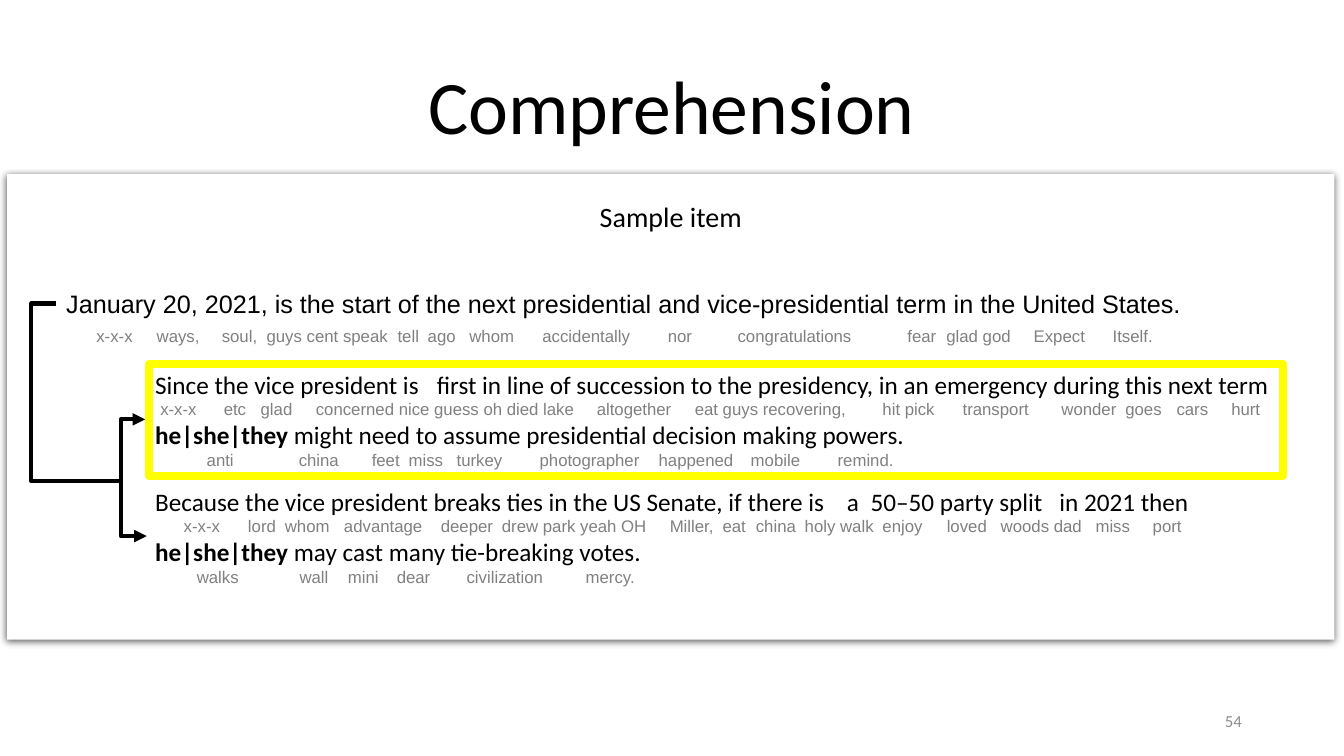
from dataclasses import dataclass

from lxml import etree
from pptx import Presentation
from pptx.dml.color import RGBColor
from pptx.enum.shapes import MSO_CONNECTOR, MSO_SHAPE
from pptx.enum.text import MSO_ANCHOR, MSO_AUTO_SIZE, PP_ALIGN
from pptx.oxml.ns import qn
from pptx.util import Cm, Pt

ELBOW, RECT = MSO_CONNECTOR.ELBOW, MSO_SHAPE.RECTANGLE
TOP, MIDDLE, BOTTOM = MSO_ANCHOR.TOP, MSO_ANCHOR.MIDDLE, MSO_ANCHOR.BOTTOM
LEFT, CENTER, RIGHT = PP_ALIGN.LEFT, PP_ALIGN.CENTER, PP_ALIGN.RIGHT
NO_FIT = MSO_AUTO_SIZE.NONE


@dataclass(frozen=True)
class Theme:
    black: str = "000000"
    white: str = "FFFFFF"
    grey: str = "808080"
    number_grey: str = "8C8C8C"
    yellow: str = "FFFF00"
    head_font: str = "Calibri"
    word_font: str = "Arial"
    title: int = 54
    subtitle: int = 20
    sentence: int = 18
    small: int = 12


T = Theme()

# Each word group stands at its own tab stop, in cm from the left text edge;
# 0 means the group starts at that edge.
LEAD = ("January 20, 2021, is the start of the next presidential and "
        "vice-presidential term in the United States.")
LEAD_WORDS = [
    (0, "x-x-x"), (1.52, "ways,"), (3.16, "soul,"), (4.29, "guys cent speak"),
    (7.59, "tell"), (8.35, "ago"), (9.4, "whom"), (11.24, "accidentally"),
    (14.4, "nor"), (16.16, "congratulations"), (20.44, "fear"),
    (21.42, "glad god"), (23.62, "Expect"), (25.61, "Itself.")]

SINCE = dict(
    opening=[(0, "Since the vice president is"),
             (7.1, "first in line of succession to the presidency, in an "
                   "emergency during this next term")],
    opening_words=[
        (0.13, "x-x-x"), (1.73, "etc"), (2.66, "glad"),
        (4.05, "concerned nice guess oh died lake"), (11.13, "altogether"),
        (13.6, "eat guys recovering,"), (18.33, "hit pick"),
        (20.35, "transport"), (22.84, "wonder"), (24.45, "goes"),
        (25.74, "cars"), (27.12, "hurt")],
    ending=" might need to assume presidential decision making powers.",
    ending_words=[
        (1.3, "anti"), (3.62, "china"), (5.46, "feet"), (6.39, "miss"),
        (7.6, "turkey"), (9.69, "photographer"), (12.69, "happened"),
        (15.01, "mobile"), (17.2, "remind.")])

BECAUSE = dict(
    opening=[(0, "Because the vice president breaks ties in the US Senate, "
                 "if there is"),
             (17.43, "a"), (18.03, "50–50 party split"),
             (22.79, "in 2021 then")],
    opening_words=[
        (0.72, "x-x-x"), (2.34, "lord"), (3.27, "whom"), (4.76, "advantage"),
        (7.2, "deeper"), (8.74, "drew park yeah OH"), (12.97, "Miller,"),
        (14.3, "eat"), (15.14, "china"), (16.37, "holy walk"),
        (18.33, "enjoy"), (19.95, "loved"), (21.31, "woods dad"),
        (23.7, "miss"), (25.14, "port")],
    ending=" may cast many tie-breaking votes.",
    ending_words=[
        (1.05, "walks"), (3.64, "wall"), (4.86, "mini"), (6.09, "dear"),
        (7.85, "civilization"), (10.85, "mercy.")])


def add_run(p, text, size=T.sentence, font=T.head_font, color=T.black,
            bold=False):
    r = p.add_run()
    r.text = text
    r.font.size, r.font.name, r.font.bold = Pt(size), font, bold
    r.font.color.rgb = RGBColor.from_string(color)


def add_tabbed(p, groups, **fmt):
    """Write word groups, each at its tab stop."""
    tabs = etree.SubElement(p._p.get_or_add_pPr(), qn("a:tabLst"))
    text = ""
    for stop, words in groups:
        if stop:
            etree.SubElement(tabs, qn("a:tab"), pos=str(Cm(stop)), algn="l")
            text += "\t"
        text += words
    add_run(p, text, **fmt)


def add_words(p, groups):
    add_tabbed(p, groups, size=T.small, font=T.word_font, color=T.grey)


def add_box(slide, x, y, w, h, align=LEFT, anchor=TOP):
    """Add an empty text box and return its text frame."""
    tf = slide.shapes.add_textbox(Cm(x), Cm(y), Cm(w), Cm(h)).text_frame
    tf.word_wrap = True
    tf.vertical_anchor = anchor
    tf.paragraphs[0].alignment = align
    return tf


def add_rect(slide, x, y, w, h, fill=None, line=None, width=0):
    sp = slide.shapes.add_shape(RECT, Cm(x), Cm(y), Cm(w), Cm(h))
    sp.shadow.inherit = False
    if fill:
        sp.fill.solid()
        sp.fill.fore_color.rgb = RGBColor.from_string(fill)
    else:
        sp.fill.background()
    if line:
        sp.line.color.rgb = RGBColor.from_string(line)
        sp.line.width = Pt(width)
    else:
        sp.line.fill.background()
    return sp


def add_soft_shadow(sp):
    effects = sp._element.spPr.find(qn("a:effectLst"))
    shadow = etree.SubElement(
        effects, qn("a:outerShdw"), blurRad=str(Pt(4.5)), dist=str(Pt(1.5)),
        dir="5400000", algn="t", rotWithShape="0")
    color = etree.SubElement(shadow, qn("a:srgbClr"), val=T.black)
    etree.SubElement(color, qn("a:alpha"), val="63000")


def add_bracket(slide, x1, y1, x2, y2, spine, arrows=False):
    """Join two points by an elbow whose upright part stands at x = spine."""
    c = slide.shapes.add_connector(ELBOW, Cm(x1), Cm(y1), Cm(x2), Cm(y2))
    c.line.color.rgb = RGBColor.from_string(T.black)
    c.line.width = Pt(3)
    sp_pr = c._element.spPr
    guides = sp_pr.find(qn("a:prstGeom")).get_or_add_avLst()
    bend = round((spine - x1) / (x2 - x1) * 100000)
    etree.SubElement(guides, qn("a:gd"), name="adj1", fmla=f"val {bend}")
    if arrows:
        for end in ("a:headEnd", "a:tailEnd"):
            etree.SubElement(sp_pr.find(qn("a:ln")), qn(end), type="triangle")
    etree.SubElement(sp_pr, qn("a:effectLst"))


def add_continuation(slide, x, y, w, h, opening, opening_words, ending,
                     ending_words):
    """Write two sentence lines, each over its line of distractor words."""
    tf = add_box(slide, x, y, w, h)
    add_tabbed(tf.paragraphs[0], opening)
    add_words(tf.add_paragraph(), opening_words)
    p = tf.add_paragraph()
    add_run(p, "he|she|they", bold=True)
    add_run(p, ending)
    add_words(tf.add_paragraph(), ending_words)


def add_sample_panel(slide, x, y, w, h):
    add_soft_shadow(add_rect(slide, x, y, w, h, fill=T.white))
    tf = add_box(slide, x, y + 0.51, w, 1.11, align=CENTER)
    add_run(tf.paragraphs[0], "Sample item", size=T.subtitle)

    tf = add_box(slide, x + 1.24, y + 2.75, w - 3.5, 1.02)
    add_run(tf.paragraphs[0], LEAD, font=T.word_font)
    tf = add_box(slide, x + 2, y + 3.69, w - 4, 0.76)
    add_words(tf.paragraphs[0], LEAD_WORDS)

    block_x, block_w, block_h = x + 3.48, 29.64, 2.82
    for top, block in ((4.78, SINCE), (7.73, BECAUSE)):
        add_continuation(slide, block_x, y + top, block_w, block_h, **block)
    add_rect(slide, block_x + 0.1, y + 4.78, 28.58, block_h,
             line=T.yellow, width=6)

    fork = x + 2.87
    add_bracket(slide, x + 1.24, y + 3.26, fork, y + 7.73, spine=x + 0.61)
    add_bracket(slide, block_x + 0.04, y + 9.12, block_x, y + 6.18,
                spine=fork, arrows=True)


def add_title(slide, x, y, w, h):
    sp = slide.shapes.title
    sp.left, sp.top, sp.width, sp.height = Cm(x), Cm(y), Cm(w), Cm(h)
    tf = sp.text_frame
    tf.auto_size, tf.vertical_anchor = NO_FIT, BOTTOM
    p = tf.paragraphs[0]
    p.alignment, p.line_spacing = CENTER, 0.9
    add_run(p, "Comprehension", size=T.title)


def add_slide_number(slide, x, y, w, h):
    tf = add_box(slide, x, y, w, h, align=RIGHT, anchor=MIDDLE)
    add_run(tf.paragraphs[0], "54", size=T.small, color=T.number_grey)


def main():
    prs = Presentation()
    prs.slide_width, prs.slide_height = Cm(33.87), Cm(19.05)
    slide = prs.slides.add_slide(prs.slide_layouts[5])
    add_title(slide, 2.74, 0.94, 28.37, 3)
    add_sample_panel(slide, 0.18, 4.39, 33.45, 11.73)
    add_slide_number(slide, 23.93, 17.65, 7.62, 1.02)
    prs.save("out.pptx")


if __name__ == "__main__":
    main()
